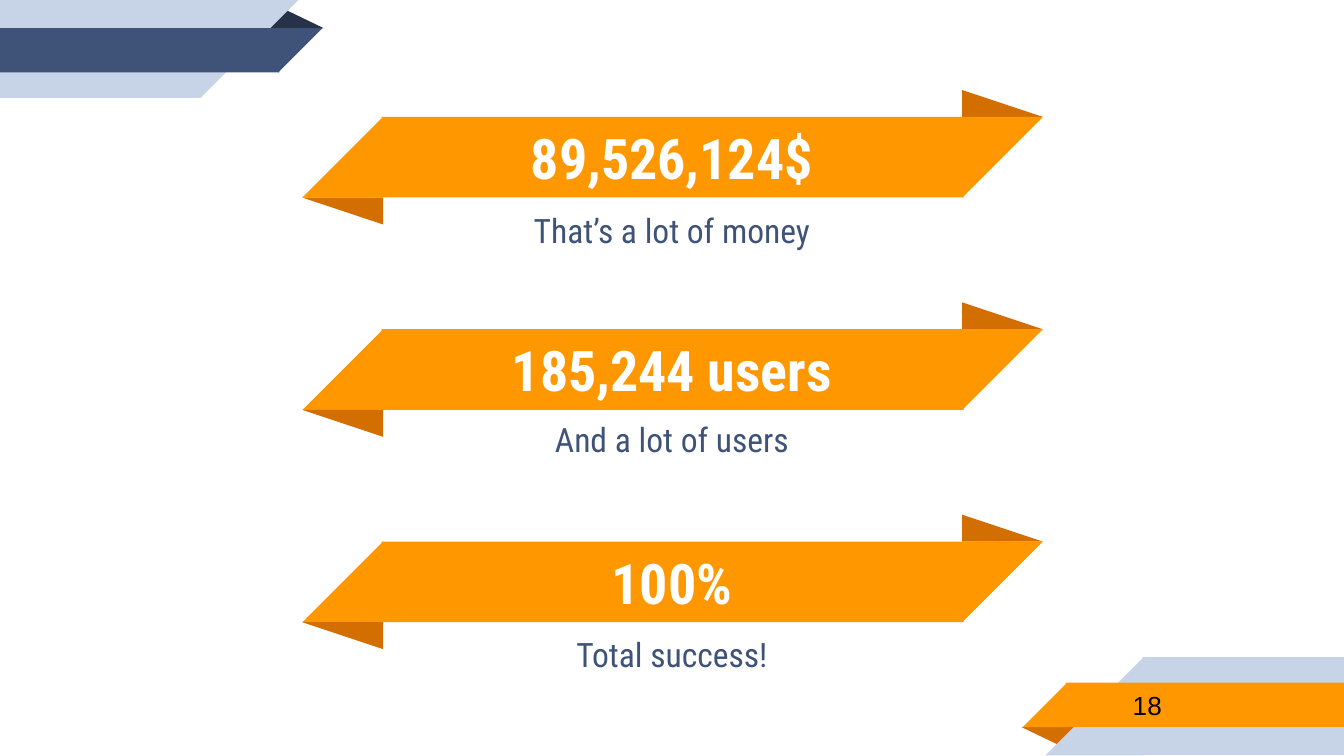
from pptx import Presentation
from pptx.dml.color import RGBColor
from pptx.enum.shapes import MSO_SHAPE
from pptx.enum.text import MSO_ANCHOR, PP_ALIGN
from pptx.util import Inches, Pt

RECT = MSO_SHAPE.RECTANGLE
CORNER = MSO_SHAPE.RIGHT_TRIANGLE
FOLD = MSO_SHAPE.ISOSCELES_TRIANGLE
MIDDLE = MSO_ANCHOR.MIDDLE
LEFT, CENTER = PP_ALIGN.LEFT, PP_ALIGN.CENTER

# Turns that put the right angle of a corner where a ribbon end needs it
LEFT_END, RIGHT_END = 270, 90

FONT = "Roboto Condensed"
COLORS = {
    "orange": "FF9800",
    "dark_orange": "D26F00",
    "navy": "3F5378",
    "dark_navy": "263248",
    "pale": "C7D3E6",
    "white": "FFFFFF",
    "black": "000000",
}

# Headline, caption, caption top, caption height
FIGURES = [
    ("89,526,124$", "That’s a lot of money", 1.46, 0.51),
    ("185,244 users", "And a lot of users", 3.04, 0.45),
    ("100%", "Total success!", 4.64, 0.45),
]
FIRST_TOP, PITCH = 0.87, 1.58
BAND_HEIGHT = 0.6
OVERLAP = 0.01  # closes the seam between a band and its end


def rgb(name):
    return RGBColor.from_string(COLORS[name])


def add_part(group, kind, box, color, rotation=0, apex=None):
    """Add one plain filled shape to a group."""
    sp = group.shapes.add_shape(kind, *map(Inches, box))
    sp.shadow.inherit = False
    sp.fill.solid()
    sp.fill.fore_color.rgb = rgb(color)
    sp.line.fill.background()
    sp.rotation = rotation
    if apex is not None:
        sp.adjustments[0] = apex


def add_text(s, box, text, size, color, font=FONT, bold=False,
             align=CENTER, space_after=0):
    tf = s.shapes.add_textbox(*map(Inches, box)).text_frame
    tf.word_wrap = True
    tf.vertical_anchor = MIDDLE
    tf.margin_left = tf.margin_right = Inches(0.1)
    tf.margin_top = tf.margin_bottom = Inches(0.1)
    p = tf.paragraphs[0]
    p.text = text
    p.alignment = align
    p.space_after = Pt(space_after)
    p.font.name = font
    p.font.size = Pt(size)
    p.font.bold = bold
    p.font.color.rgb = rgb(color)


def add_top_corner(s):
    group = s.shapes.add_group_shape()
    add_part(group, FOLD, (1.98, 0.07, 0.43, 0.14), "dark_navy", apex=0.324)
    for top, width, height, color in ((0, 1.5, 0.73, "pale"),
                                      (0.21, 2.08, 0.33, "navy")):
        add_part(group, RECT, (0, top, width, height), color)
        add_part(group, CORNER, (width - OVERLAP, top, height, height),
                 color, RIGHT_END)


def add_bottom_corner(s):
    group = s.shapes.add_group_shape()
    add_part(group, FOLD, (7.6, 5.41, 0.43, 0.14), "dark_orange", 180, 0.324)
    for left, top, height, color in ((8.5, 4.89, 0.73, "pale"),
                                     (7.93, 5.08, 0.33, "orange")):
        add_part(group, RECT, (left, top, 10 - left, height), color)
        add_part(group, CORNER, (left - height + OVERLAP, top, height, height),
                 color, LEFT_END)


def add_ribbon(s, top):
    group = s.shapes.add_group_shape()
    left, right, size = 2.25, 7.16, BAND_HEIGHT
    band_left = left + size - OVERLAP
    add_part(group, FOLD, (right, top - 0.2, size, 0.2), "dark_orange", apex=0)
    add_part(group, RECT, (band_left, top, right + OVERLAP - band_left, size),
             "orange")
    add_part(group, CORNER, (right, top, size, size), "orange", RIGHT_END)
    add_part(group, CORNER, (left, top, size, size), "orange", LEFT_END)
    add_part(group, FOLD, (left, top + size, size, 0.2), "dark_orange", 180, 0)


def add_figure(s, top, headline, caption, caption_top, caption_height):
    add_ribbon(s, top)
    add_text(s, (2.86, top + 0.01, 4.28, 0.58), headline, 30, "white",
             bold=True)
    add_text(s, (2.86, caption_top, 4.28, caption_height),
             caption, 18, "navy", space_after=10)


def main():
    prs = Presentation()
    prs.slide_width = Inches(10)
    prs.slide_height = prs.slide_width * 9 // 16
    s = prs.slides.add_slide(prs.slide_layouts[6])

    # Corner decoration
    add_bottom_corner(s)
    add_top_corner(s)

    # Key figures
    for i, figure in enumerate(FIGURES):
        add_figure(s, FIRST_TOP + i * PITCH, *figure)

    # Page number
    add_text(s, (8.33, 5.07, 1.63, 0.35), "18", 14, "black",
             font="Arial", align=LEFT)

    prs.save("out.pptx")


main()
